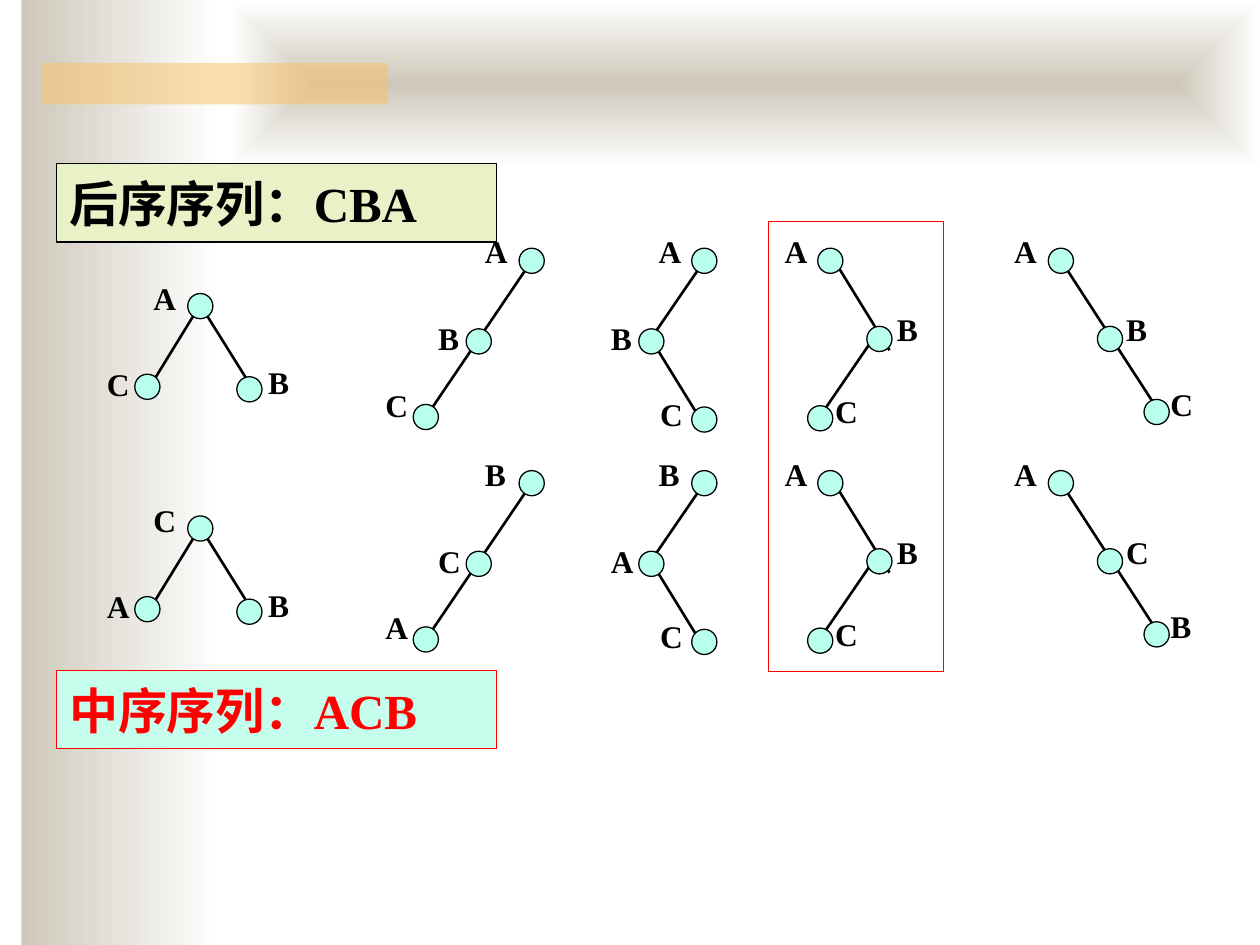
from lxml.etree import SubElement
from pptx import Presentation
from pptx.dml.color import RGBColor
from pptx.enum.shapes import MSO_CONNECTOR, MSO_SHAPE
from pptx.enum.text import MSO_ANCHOR, PP_ALIGN
from pptx.oxml.ns import qn
from pptx.util import Inches, Pt

BLACK = RGBColor(0, 0, 0)
WHITE = RGBColor(255, 255, 255)
RED = RGBColor(255, 0, 0)
SAND = RGBColor(0xCE, 0xC8, 0xBA)
GOLD = RGBColor(0xFA, 0xC1, 0x64)
AQUA = RGBColor(0xB9, 0xFF, 0xED)
MINT = RGBColor(0xC6, 0xFE, 0xEE)
LIME = RGBColor(0xE9, 0xF1, 0xC7)

TREES = [
    {"lines": [(1.59, 2.42, 2.04, 3.14), (1.6, 2.4, 1.14, 3.15)],
     "nodes": [(1.49, 2.33), (1.07, 2.97), (1.88, 2.99)],
     "tags": [(1.12, 2.12), (0.75, 2.8), (2.03, 2.79)]},
    {"lines": [(4.24, 2.04, 3.38, 3.31)],
     "nodes": [(4.12, 1.97), (3.7, 2.61), (3.28, 3.21)],
     "tags": [(3.75, 1.75), (3.38, 2.44), (2.96, 2.97)]},
    {"lines": [(5.16, 2.68, 5.61, 3.41), (5.61, 2.04, 5.13, 2.74)],
     "nodes": [(5.49, 1.97), (5.07, 2.61), (5.49, 3.23)],
     "tags": [(5.13, 1.75), (4.75, 2.44), (5.14, 3.04)]},
    {"lines": [(6.61, 2.05, 7.06, 2.78), (6.97, 2.63, 6.49, 3.33)],
     "nodes": [(6.49, 1.97), (6.88, 2.59), (6.41, 3.22)],
     "tags": [(6.13, 1.75), (7.02, 2.37), (6.53, 3.02)]},
    {"lines": [(8.41, 2.05, 9.24, 3.33)],
     "nodes": [(8.32, 1.97), (8.71, 2.59), (9.08, 3.17)],
     "tags": [(7.95, 1.75), (8.84, 2.37), (9.19, 2.96)]},
]
POST = ["ACB", "ABC", "ABC", "ABC", "ABC"]
INFIX = ["CAB", "BCA", "BAC", "ABC", "ACB"]
DROP = 1.765


def write(frame, text, font="Times New Roman", size=18, color=BLACK,
          align=PP_ALIGN.LEFT, space=None, anchor=MSO_ANCHOR.TOP):
    """Put one formatted paragraph in a text frame."""
    frame.word_wrap = True
    frame.vertical_anchor = anchor
    para = frame.paragraphs[0]
    para.alignment = align
    para.line_spacing = space
    run = para.add_run()
    run.text = text
    run.font.name = font
    run.font.size = Pt(size)
    run.font.bold = True
    run.font.color.rgb = color


class Board:
    """Holds the drawing style and the current slide."""

    def __init__(self, slide):
        self.shapes = slide.shapes
        self.thin = Pt(0.75)
        self.thick = Pt(1.5)
        self.dot = 0.2

    def shape(self, left, top, width, height, fill=None, line=None,
              kind=MSO_SHAPE.RECTANGLE):
        item = self.shapes.add_shape(kind, Inches(left), Inches(top),
                                     Inches(width), Inches(height))
        item.shadow.inherit = False
        if fill is None:
            item.fill.background()
        else:
            item.fill.solid()
            item.fill.fore_color.rgb = fill
        if line is None:
            item.line.fill.background()
        else:
            item.line.color.rgb = line
            item.line.width = self.thin
        return item

    def fade(self, *place, center=False):
        item = self.shape(*place)
        item.fill.gradient()
        item.fill.gradient_angle = 0
        for stop, color, spot in zip(item.fill.gradient_stops, (SAND, WHITE), (0, 1)):
            stop.color.rgb = color
            stop.position = spot
        if center:
            grad = item.element.spPr.find(qn("a:gradFill"))
            lin = grad.find(qn("a:lin"))
            way = SubElement(grad, qn("a:path"), {"path": "shape"})
            SubElement(way, qn("a:fillToRect"), dict.fromkeys("ltrb", "50000"))
            grad.replace(lin, way)

    def glass(self, *place, color, alpha):
        item = self.shape(*place, fill=color)
        tint = item.element.spPr.find(qn("a:solidFill"))[0]
        SubElement(tint, qn("a:alpha"), {"val": str(alpha * 1000)})

    def line(self, *ends):
        item = self.shapes.add_connector(MSO_CONNECTOR.STRAIGHT, *map(Inches, ends))
        item.line.color.rgb = BLACK
        item.line.width = self.thick
        SubElement(item.element.spPr, qn("a:effectLst"))

    def node(self, left, top):
        self.shape(left, top, self.dot, self.dot, AQUA, BLACK, MSO_SHAPE.OVAL)

    def tag(self, left, top, text):
        box = self.shapes.add_textbox(Inches(left), Inches(top),
                                      Inches(0.5), Inches(0.53))
        write(box.text_frame, text, align=PP_ALIGN.JUSTIFY, space=1.15)

    def head(self, top, text, fill, color):
        item = self.shape(0.45, top, 3.49, 0.62, fill, color)
        write(item.text_frame, text, size=28, color=color, anchor=MSO_ANCHOR.MIDDLE)

    def row(self, names, drop=0):
        for tree, word in zip(TREES, names):
            for x1, y1, x2, y2 in tree["lines"]:
                self.line(x1, y1 + drop, x2, y2 + drop)
            for left, top in tree["nodes"]:
                self.node(left, top + drop)
            for (left, top), text in zip(tree["tags"], word):
                self.tag(left, top + drop, text)


def main():
    """Build and save the slide."""
    deck = Presentation()
    deck.slide_width = Inches(10)
    deck.slide_height = Inches(7.5)
    board = Board(deck.slides.add_slide(deck.slide_layouts[6]))
    board.fade(0.17, 0, 1.58, 7.5)
    board.fade(1.83, 0, 8.17, 1.33, center=True)
    board.glass(0.33, 0.5, 2.75, 0.33, color=GOLD, alpha=50)
    board.row(INFIX, DROP)
    board.head(5.32, "中序序列：ACB", MINT, RED)
    board.shape(6.1, 1.76, 1.39, 3.57, line=RED)
    board.head(1.3, "后序序列：CBA", LIME, BLACK)
    board.row(POST)
    deck.save("out.pptx")


if __name__ == "__main__":
    main()
